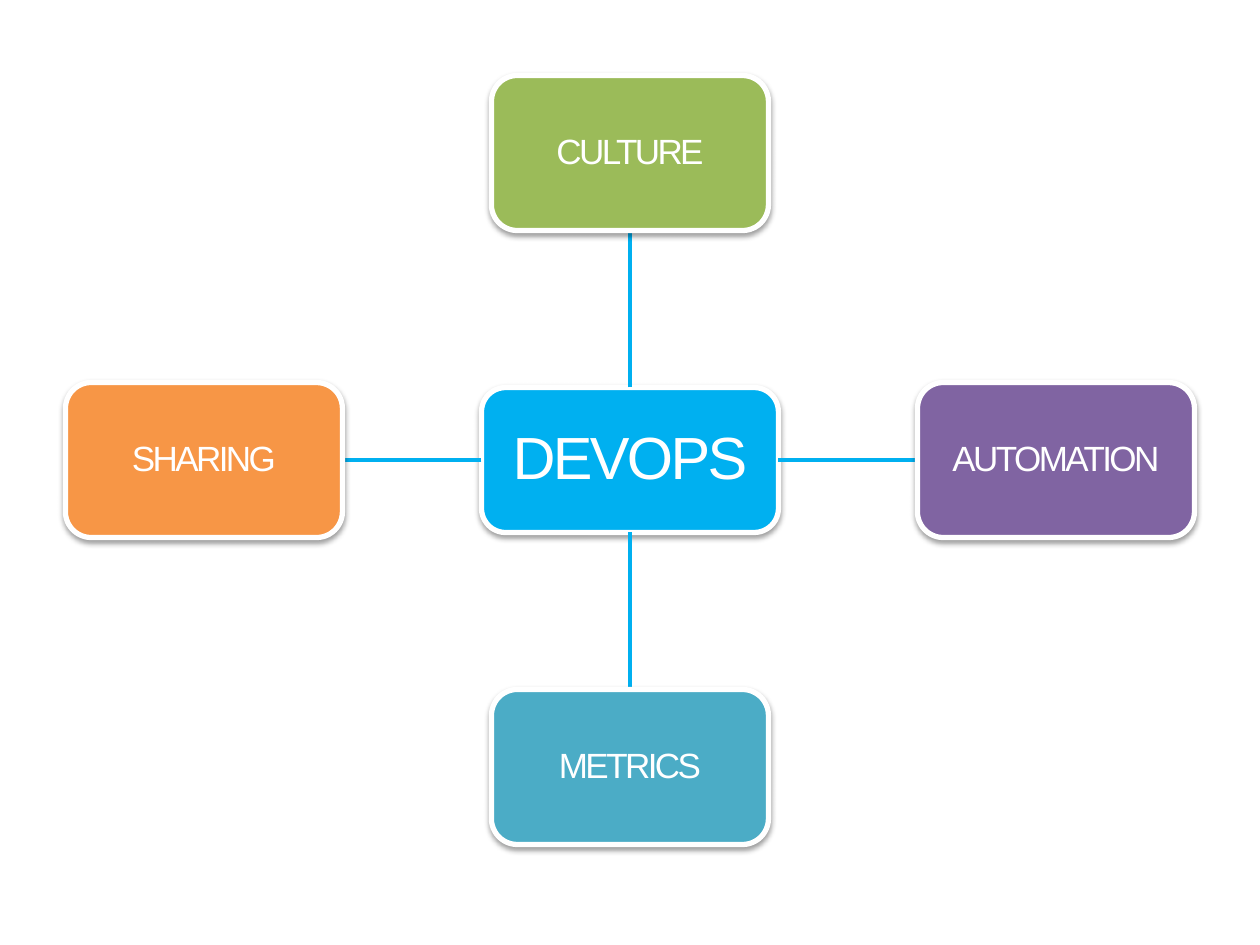
from lxml import etree
from pptx import Presentation
from pptx.dml.color import RGBColor
from pptx.enum.shapes import MSO_CONNECTOR, MSO_SHAPE
from pptx.enum.text import MSO_ANCHOR, PP_ALIGN
from pptx.oxml.ns import qn
from pptx.util import Pt

ROUND = MSO_SHAPE.ROUNDED_RECTANGLE
LINE = MSO_CONNECTOR.STRAIGHT
MIDDLE = MSO_ANCHOR.MIDDLE
CENTER = PP_ALIGN.CENTER

WHITE = RGBColor(0xFF, 0xFF, 0xFF)
BLUE = RGBColor(0x00, 0xB0, 0xF0)
GREEN = RGBColor(0x9B, 0xBB, 0x59)
PURPLE = RGBColor(0x80, 0x64, 0xA2)
TEAL = RGBColor(0x4B, 0xAC, 0xC6)
ORANGE = RGBColor(0xF7, 0x96, 0x46)

HUB = "DEVOPS"
NODES = [
    ("CULTURE", GREEN, 0, -1),
    ("AUTOMATION", PURPLE, 1, 0),
    ("METRICS", TEAL, 0, 1),
    ("SHARING", ORANGE, -1, 0),
]

MID_X, MID_Y = 630, 460
HUB_W, HUB_H = 297, 145
NODE_W, NODE_H = 277, 155
STEP_X, STEP_Y = 426, 307


def px(n):
    return round(n * 914400 / 126)


def add_shadow(shape):
    effects = shape._element.spPr.find(qn("a:effectLst"))
    outer = etree.SubElement(effects, qn("a:outerShdw"), blurRad="40000",
                             dist="20000", dir="5400000", rotWithShape="0")
    color = etree.SubElement(outer, qn("a:srgbClr"), val="000000")
    etree.SubElement(color, qn("a:alpha"), val="38000")


def write(shape, text, size, inset):
    frame = shape.text_frame
    frame.word_wrap = True
    frame.vertical_anchor = MIDDLE
    frame.margin_left = frame.margin_right = px(inset)
    frame.margin_top = frame.margin_bottom = px(inset)
    para = frame.paragraphs[0]
    para.alignment = CENTER
    para.line_spacing = 0.9
    run = para.add_run()
    run.text = text
    run.font.name = "Arial"
    run.font.size = Pt(size)
    run.font.color.rgb = WHITE
    run._r.get_or_add_rPr().set("spc", "-150")


def add_card(slide, text, x, y, w, h, fill, size, inset):
    card = slide.shapes.add_shape(ROUND, px(x - w / 2), px(y - h / 2), px(w), px(h))
    card.shadow.inherit = False
    add_shadow(card)
    card.fill.solid()
    card.fill.fore_color.rgb = fill
    card.line.color.rgb = WHITE
    card.line.width = Pt(3)
    write(card, text, size=size, inset=inset)


def add_spoke(slide, x1, y1, x2, y2):
    spoke = slide.shapes.add_connector(LINE, px(x1), px(y1), px(x2), px(y2))
    spoke.line.color.rgb = BLUE
    spoke.line.width = Pt(2)
    etree.SubElement(spoke._element.spPr, qn("a:effectLst"))


def main():
    deck = Presentation()
    deck.slide_width, deck.slide_height = px(1260), px(945)
    slide = deck.slides.add_slide(deck.slide_layouts[6])
    add_card(slide, HUB, MID_X, MID_Y, HUB_W, HUB_H, BLUE, size=34, inset=11)
    for text, fill, dx, dy in NODES:
        x, y = MID_X + dx * STEP_X, MID_Y + dy * STEP_Y
        add_spoke(slide, MID_X + dx * HUB_W / 2, MID_Y + dy * HUB_H / 2,
                  x - dx * NODE_W / 2, y - dy * NODE_H / 2)
        add_card(slide, text, x, y, NODE_W, NODE_H, fill, size=20, inset=8)
    deck.save("out.pptx")


if __name__ == "__main__":
    main()
